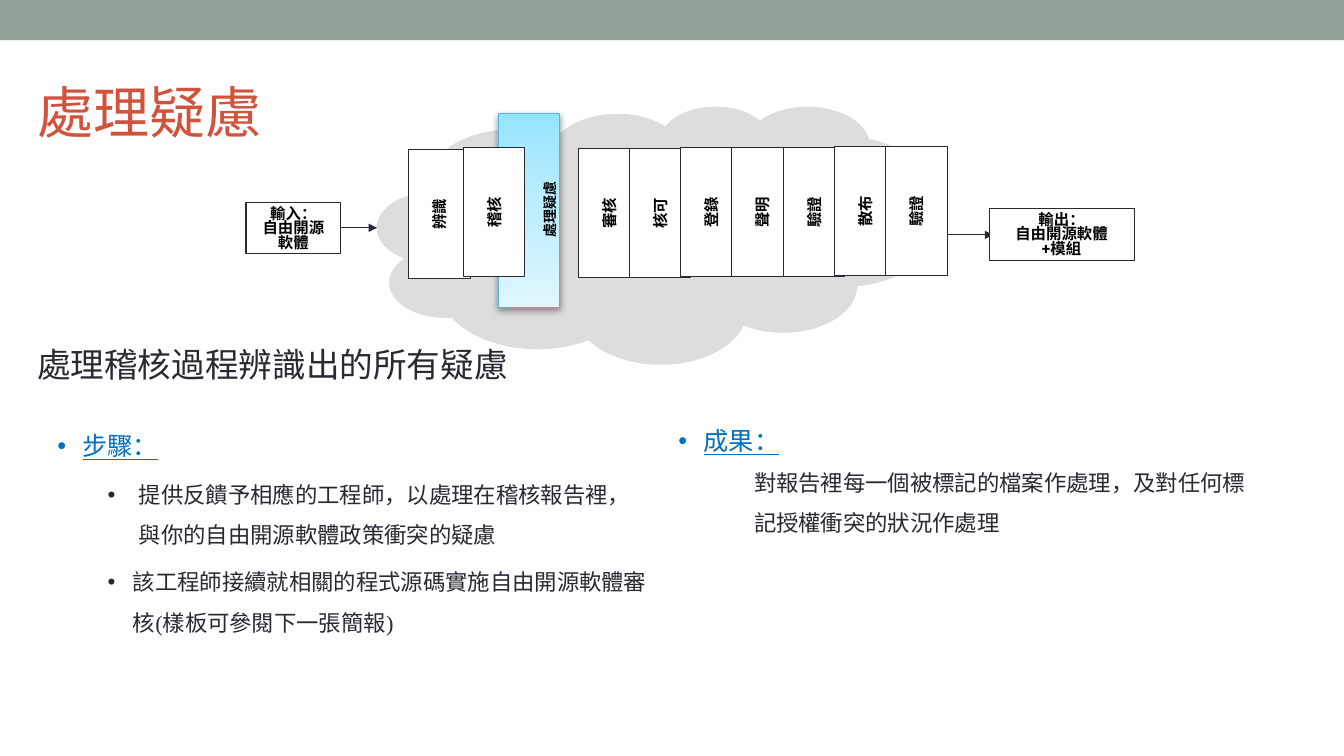
import pptx
import pptx.dml.color
import pptx.enum.shapes
import pptx.enum.text
import pptx.oxml
import pptx.oxml.ns
import pptx.util
from pptx.util import Inches

SHAPE = pptx.enum.shapes.MSO_SHAPE
ALIGN = pptx.enum.text.PP_ALIGN
ANCHOR = pptx.enum.text.MSO_ANCHOR
NAMESPACE = pptx.oxml.ns.nsdecls("a")
SERIF, SANS = "Times New Roman", "Roboto"
INK, BLACK, WHITE, BLUE = "292934", "000000", "FFFFFF", "0070C0"
RUST, SAGE, CLOUD, AQUA = "D2533C", "93A299", "DDDDDD", "55B4E5"


def colour(value):
    return pptx.dml.color.RGBColor.from_string(value)


def element(markup):
    """Parse one DrawingML element, adding the namespace to its root tag."""
    tag, rest = markup[1:].split(">", 1)
    closing = "/" if tag.endswith("/") else ""
    return pptx.oxml.parse_xml(f"<{tag.rstrip('/')} {NAMESPACE}{closing}>{rest}")


class SlideBuilder:
    def __init__(self, deck):
        self.page = deck.slides.add_slide(deck.slide_layouts[5])

    def place(self, box, left, top, width, height):
        box.left, box.top = Inches(left), Inches(top)
        box.width, box.height = Inches(width), Inches(height)

    def paragraph(self, box, text, size, ink=INK, font=SERIF, bold=None,
                  underline=None, align=ALIGN.LEFT, spacing=None, before=None,
                  margin=0, indent=0, level=0, bullet=None):
        frame = box.text_frame
        para = frame.paragraphs[0]
        if para.runs:
            para = frame.add_paragraph()
        para.alignment, para.level = align, level
        if margin:
            properties = para._p.get_or_add_pPr()
            properties.set("marL", str(Inches(margin)))
            properties.set("indent", str(Inches(indent)))
        if bullet:
            properties.append(element(
                f'<a:buClr><a:srgbClr val="{bullet}"/></a:buClr>'))
            properties.append(element('<a:buFont typeface="Arial"/>'))
            properties.append(element('<a:buChar char="•"/>'))
        if spacing:
            para.line_spacing = spacing
        if before:
            para.space_before = pptx.util.Pt(before)
        span = para.add_run()
        span.text = text
        span.font.name, span.font.size = font, pptx.util.Pt(size)
        span.font.bold, span.font.underline = bold, underline
        span.font.color.rgb = colour(ink)

    def title(self, text, *area):
        box = self.page.shapes.title
        self.place(box, *area)
        box.text_frame.vertical_anchor = ANCHOR.MIDDLE
        self.paragraph(box, text, 40, RUST)

    def text_box(self, *area, anchor=ANCHOR.TOP):
        box = self.page.shapes.add_textbox(*map(Inches, area))
        box.text_frame.word_wrap = True
        box.text_frame.vertical_anchor = anchor
        return box

    def shape(self, kind, *area, fill=WHITE, line=None):
        box = self.page.shapes.add_shape(kind, *map(Inches, area))
        box.shadow.inherit = False
        box.fill.solid()
        box.fill.fore_color.rgb = colour(fill)
        if line:
            box.line.color.rgb = colour(line)
            box.line.width = pptx.util.Pt(0.75)
        else:
            box.line.fill.background()
        return box

    def highlight(self, *area):
        """Draw the glowing bar behind the current stage."""
        bar = self.shape(SHAPE.RECTANGLE, *area, line=AQUA)
        properties = bar._element.spPr
        stops = "".join(
            f'<a:gs pos="{position}000"><a:srgbClr val="{tint}"/></a:gs>'
            for position, tint in ((0, "95E5FF"), (35, "B4EBFF"), (100, "E0F7FF")))
        properties.replace(
            properties.find(pptx.oxml.ns.qn("a:solidFill")),
            element(f'<a:gradFill><a:gsLst>{stops}</a:gsLst>'
                    '<a:lin ang="5400000" scaled="0"/></a:gradFill>'))
        properties.replace(
            properties.find(pptx.oxml.ns.qn("a:effectLst")),
            element('<a:effectLst><a:outerShdw blurRad="63500" dist="20320" '
                    'dir="5400000" rotWithShape="0"><a:srgbClr val="000000">'
                    '<a:alpha val="38000"/></a:srgbClr></a:outerShdw></a:effectLst>'))

    def stage(self, text, left, top):
        box = self.shape(SHAPE.RECTANGLE, left, top, 1.28, 0.61, line=INK)
        box.rotation = 270
        box.text_frame.vertical_anchor = ANCHOR.MIDDLE
        self.paragraph(box, text, 11, BLACK, SANS, True, align=ALIGN.CENTER)

    def endpoint(self, lines, *area):
        box = self.shape(SHAPE.RECTANGLE, *area, line=INK)
        box.text_frame.vertical_anchor = ANCHOR.TOP
        for text in lines:
            self.paragraph(box, text, 11, BLACK, SANS, True, align=ALIGN.CENTER,
                           spacing=pptx.util.Pt(10.5))

    def arrow(self, start, end, height):
        link = self.page.shapes.add_connector(
            pptx.enum.shapes.MSO_CONNECTOR.STRAIGHT,
            Inches(start), Inches(height), Inches(end), Inches(height))
        link.line.color.rgb = colour(INK)
        link.line.width = pptx.util.Pt(0.75)
        properties = link._element.spPr
        properties.find(pptx.oxml.ns.qn("a:ln")).append(
            element('<a:tailEnd type="triangle"/>'))
        properties.append(element("<a:effectLst/>"))

    def heading(self, box, text):
        self.paragraph(box, text, 18, BLUE, underline=True, spacing=1.5,
                       margin=0.25, indent=-0.25, bullet=BLUE)


def main():
    deck = pptx.Presentation()
    deck.slide_width, deck.slide_height = Inches(13.33), Inches(7.5)
    slide = SlideBuilder(deck)
    slide.shape(SHAPE.RECTANGLE, 0, 0, 13.33, 0.4, fill=SAGE)

    results = slide.text_box(6.63, 4.02, 6.02, 2.52)
    slide.heading(results, "成果：")
    slide.paragraph(results, "對報告裡每一個被標記的檔案作處理，及對任何標記授權衝突的狀況作處理",
                    16, spacing=1.5, margin=0.75)

    steps = slide.text_box(0.47, 4.07, 6.05, 2.86)
    slide.heading(steps, "步驟：")
    for text, margin, indent in (
            ("提供反饋予相應的工程師，以處理在稽核報告裡，與你的自由開源軟體政策衝突的疑慮", 0.81, -0.31),
            ("該工程師接續就相關的程式源碼實施自由開源軟體審核(樣板可參閱下一張簡報)", 0.75, -0.25)):
        slide.paragraph(steps, text, 16, spacing=1.5, before=5, margin=margin,
                        indent=indent, level=1, bullet=INK)

    summary = slide.text_box(0.27, 3.36, 7.92, 0.5)
    slide.paragraph(summary, "處理稽核過程辨識出的所有疑慮", 24)
    slide.title("處理疑慮", 0.27, 0.56, 12, 1.08)

    cloud = slide.shape(SHAPE.CLOUD_CALLOUT, 3.74, 1.05, 5.5, 2.56, fill=CLOUD)
    cloud.adjustments[0], cloud.adjustments[1] = -0.25, 0.16
    slide.arrow(9.24, 9.85, 2.33)
    slide.highlight(4.94, 1.13, 0.61, 1.92)
    current = slide.text_box(4.49, 1.77, 1.92, 0.61, anchor=ANCHOR.MIDDLE)
    current.rotation = 270
    slide.paragraph(current, "處理疑慮", 10, BLACK, SANS, True, align=ALIGN.CENTER)

    slide.stage("辨識", 3.72, 1.82)
    slide.stage("稽核", 4.26, 1.8)
    later_stages = (("審核", 1.81), ("核可", 1.81), ("登錄", 1.8), ("聲明", 1.8),
                    ("驗證", 1.8), ("散布", 1.79), ("驗證", 1.79))
    step = (8.45 - 5.4) / (len(later_stages) - 1)
    for index, (text, top) in enumerate(later_stages):
        slide.stage(text, 5.4 + index * step, top)

    slide.endpoint(("輸入：", "自由開源軟體"), 2.44, 2.01, 0.94, 0.51)
    slide.arrow(3.38, 3.74, 2.26)
    slide.endpoint(("輸出：", "自由開源軟體", "+模組"), 9.81, 2.07, 1.44, 0.51)
    deck.save("out.pptx")


if __name__ == "__main__":
    main()
